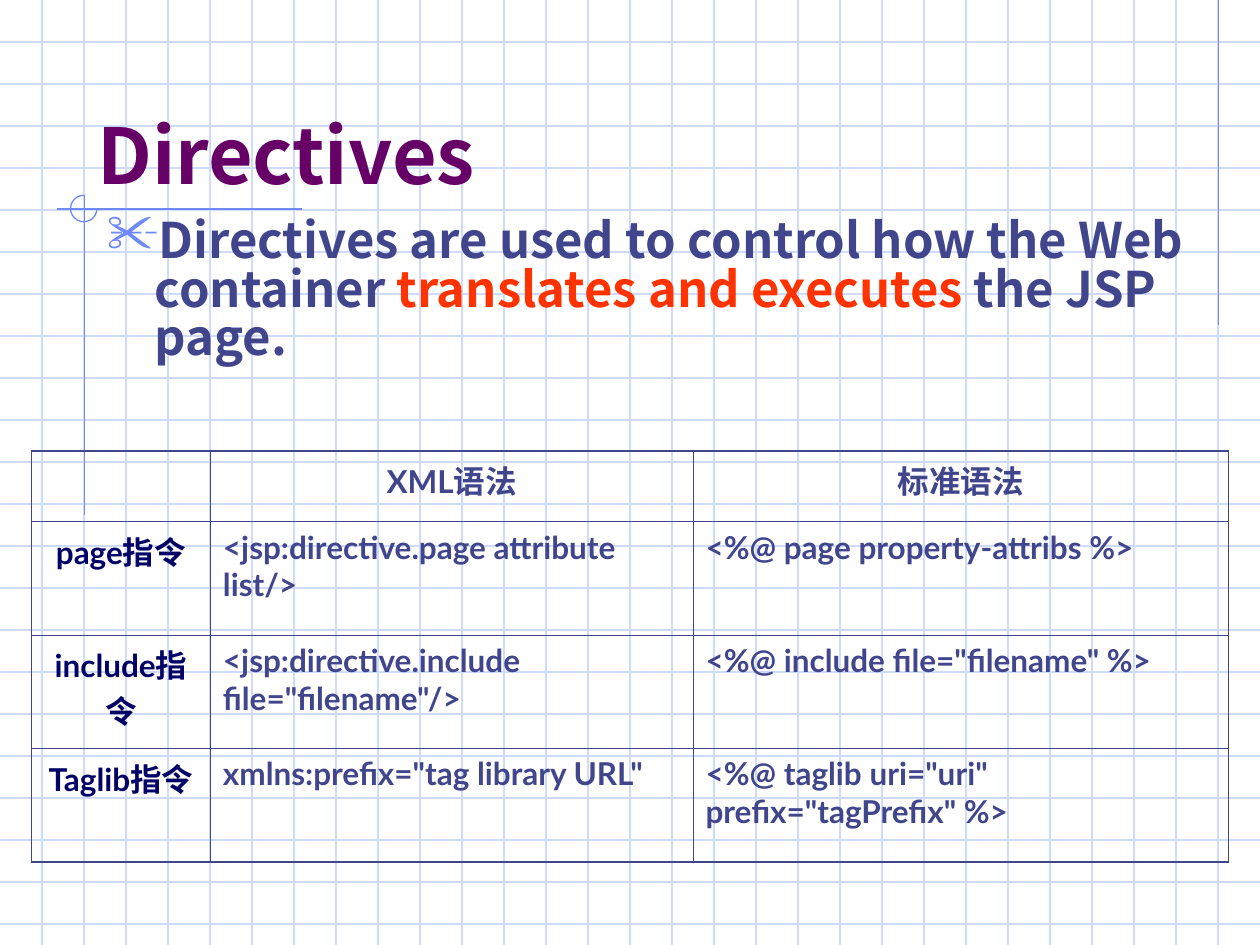
import lxml.etree
import pptx
import pptx.dml.color
import pptx.enum.shapes
import pptx.enum.text
import pptx.oxml.ns
import pptx.util

Inches = pptx.util.Inches
Pt = pptx.util.Pt
qn = pptx.oxml.ns.qn

TITLE = "Directives"
STATEMENT = [
    ("Directives are used to control how the Web container ", "text"),
    ("translates and executes", "highlight"),
    (" the JSP page.", "text"),
]
SYNTAX_ROWS = [
    ["", "XML语法", "标准语法"],
    ["page指令", "<jsp:directive.page attribute list/>", "<%@ page property-attribs %>"],
    ["include指令", '<jsp:directive.include file="filename"/>', '<%@ include file="filename" %>'],
    ["Taglib指令", 'xmlns:prefix="tag library URL"', '<%@ taglib uri="uri" prefix="tagPrefix" %>'],
]
COLUMN_WIDTHS = [1.42, 3.83, 4.25]
ROW_HEIGHTS = [0.56, 0.9, 0.9, 0.9]
ACCENT_LINES = [
    (9.67, 0, 9.67, 2.58),
    (2.4, 1.66, 0.45, 1.66),
    (0.67, 1.55, 0.67, 4.09),
]
PAGE_WIDTH, PAGE_HEIGHT = 10, 7.5
THEME = {
    "grid": "CFDBFD", "accent": "6F89F7", "title": "660066", "text": "40458C",
    "highlight": "FF3300", "row label": "000066",
    "heading font": "Noto Sans CJK SC", "table font": "Lato",
    "title size": 44, "body size": 28, "table size": 18,
    "line": 0.75, "inner border": 0.45, "outer border": 1.08,
}


def color(name):
    return pptx.dml.color.RGBColor.from_string(THEME[name])


def format_span(span, font, size, color_name):
    span.font.name = THEME[font]
    span.font.size = Pt(THEME[size])
    span.font.bold = True
    span.font.color.rgb = color(color_name)
    east_asian = lxml.etree.Element(qn("a:ea"), typeface=THEME["heading font"])
    span.font._element.find(qn("a:latin")).addnext(east_asian)


def add_line(page, ends, color_name):
    line = page.shapes.add_connector(
        pptx.enum.shapes.MSO_CONNECTOR.STRAIGHT, *[Inches(value) for value in ends])
    line.line.color.rgb = color(color_name)
    line.line.width = Pt(THEME["line"])
    lxml.etree.SubElement(line._element.spPr, qn("a:effectLst"))


def add_background(page):
    for step in range(1, 23):
        add_line(page, (0, step / 3, PAGE_WIDTH, step / 3), "grid")
    for step in range(1, 30):
        add_line(page, (step / 3, 0, step / 3, PAGE_HEIGHT), "grid")
    for ends in ACCENT_LINES:
        add_line(page, ends, "accent")
    arc = page.shapes.add_shape(
        pptx.enum.shapes.MSO_SHAPE.ARC, Inches(0.56), Inches(1.55), Inches(0.21), Inches(0.21))
    arc.adjustments[0] = 0
    arc.adjustments[1] = 162
    arc.fill.background()
    arc.line.color.rgb = color("accent")
    arc.line.width = Pt(THEME["line"])
    arc.shadow.inherit = False


def add_title(page):
    title = page.shapes.title
    title.left, title.top = Inches(0.67), Inches(0.39)
    title.width, title.height = Inches(8.5), Inches(1.25)
    title.text_frame.text = TITLE
    title.text_frame.vertical_anchor = pptx.enum.text.MSO_ANCHOR.BOTTOM
    para = title.text_frame.paragraphs[0]
    para.alignment = pptx.enum.text.PP_ALIGN.LEFT
    format_span(para.runs[0], "heading font", "title size", "title")
    page.shapes._spTree.append(title._element)


def add_statement(page):
    box = page.shapes.add_textbox(Inches(0.75), Inches(1.69), Inches(8.83), Inches(1.75))
    box.text_frame.word_wrap = True
    para = box.text_frame.paragraphs[0]
    para.space_before = Pt(7)
    para.line_spacing = 0.83
    for text, color_name in STATEMENT:
        span = para.add_run()
        span.text = text
        format_span(span, "heading font", "body size", color_name)
    properties = para._p.get_or_add_pPr()
    properties.set("marL", str(Inches(0.38)))
    properties.set("indent", str(Inches(-0.38)))
    bullet_color = lxml.etree.SubElement(properties, qn("a:buClr"))
    lxml.etree.SubElement(bullet_color, qn("a:srgbClr"), val=THEME["accent"])
    lxml.etree.SubElement(properties, qn("a:buSzPct"), val="110000")
    lxml.etree.SubElement(properties, qn("a:buChar"), char="✂")


def set_borders(cell, outer_sides):
    properties = cell._tc.get_or_add_tcPr()
    for index, side in enumerate(("lnL", "lnR", "lnT", "lnB")):
        weight = "outer border" if side in outer_sides else "inner border"
        border = lxml.etree.Element(qn("a:" + side), w=str(Pt(THEME[weight])))
        fill = lxml.etree.SubElement(border, qn("a:solidFill"))
        lxml.etree.SubElement(fill, qn("a:srgbClr"), val=THEME["text"])
        properties.insert(index, border)


def add_syntax_table(page):
    last_row, last_column = len(ROW_HEIGHTS) - 1, len(COLUMN_WIDTHS) - 1
    table = page.shapes.add_table(
        len(ROW_HEIGHTS), len(COLUMN_WIDTHS), Inches(0.25), Inches(3.58),
        Inches(sum(COLUMN_WIDTHS)), Inches(sum(ROW_HEIGHTS))).table
    table.first_row = table.horz_banding = False
    for column, width in zip(table.columns, COLUMN_WIDTHS):
        column.width = Inches(width)
    for row, height in zip(table.rows, ROW_HEIGHTS):
        row.height = Inches(height)
    for row_index, texts in enumerate(SYNTAX_ROWS):
        for column_index, text in enumerate(texts):
            cell = table.cell(row_index, column_index)
            cell.fill.background()
            edges = {"lnL": column_index == 0, "lnR": column_index == last_column,
                     "lnT": row_index == 0, "lnB": row_index == last_row}
            set_borders(cell, [side for side, outer in edges.items() if outer])
            cell.text_frame.text = text
            para = cell.text_frame.paragraphs[0]
            para.space_before = Pt(4.5)
            if row_index == 0 or column_index == 0:
                para.alignment = pptx.enum.text.PP_ALIGN.CENTER
            color_name = "row label" if column_index == 0 else "text"
            for span in para.runs:
                format_span(span, "table font", "table size", color_name)


def main():
    deck = pptx.Presentation()
    deck.slide_width, deck.slide_height = Inches(PAGE_WIDTH), Inches(PAGE_HEIGHT)
    page = deck.slides.add_slide(deck.slide_layouts[5])
    add_background(page)
    add_title(page)
    add_statement(page)
    add_syntax_table(page)
    deck.save("out.pptx")


if __name__ == "__main__":
    main()
